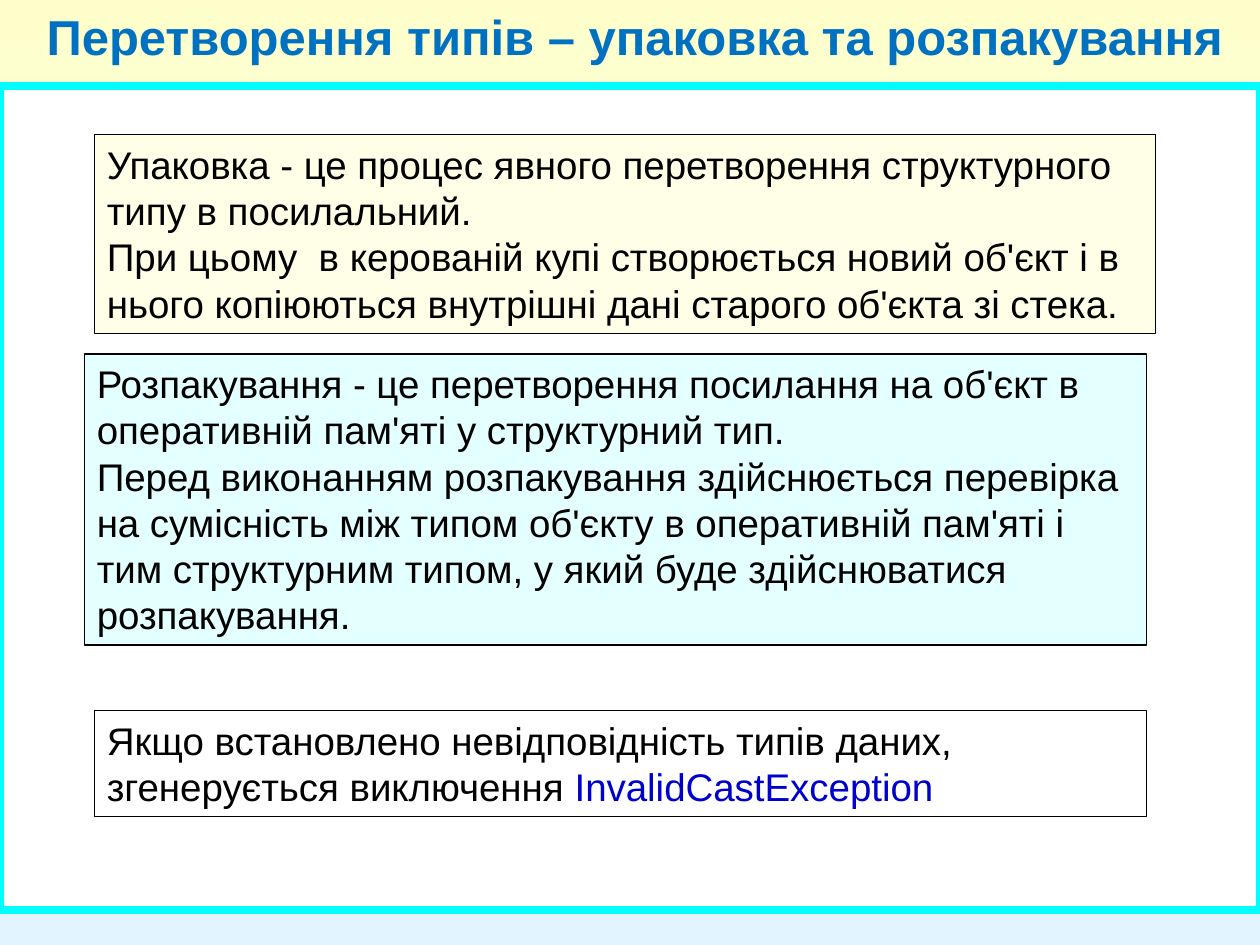
from lxml.etree import SubElement as Sub
from pptx import Presentation
from pptx.dml.color import RGBColor as RGB
from pptx.enum.shapes import MSO_SHAPE as Shape
from pptx.enum.text import MSO_ANCHOR as Anchor, MSO_AUTO_SIZE as Auto, PP_ALIGN as Align
from pptx.oxml.ns import qn
from pptx.util import Inches, Pt

WIDE, HIGH = 10, 7.5
FONT = "Arial"
BLACK = RGB(0, 0, 0)
WHITE = RGB(255, 255, 255)
CYAN = RGB(0, 255, 255)
BLUE = RGB(0, 0x70, 0xC0)
NAVY = RGB(0, 0, 0xCC)
CREAM = RGB(0xFF, 0xFF, 0xE7)
AQUA = RGB(0xE3, 0xFF, 0xFF)
TOP = RGB(0xFF, 0xFF, 0xCC)
BASE = RGB(0xE1, 0xF4, 0xFF)

BOXES = [
    ((0.75, 1.07, 8.42, 1.58), CREAM, [
        [("Упаковка - це процес явного перетворення структурного типу в посилальний.", BLACK)],
        [("При цьому  в керованій купі створюється новий об'єкт і в нього копіюються "
          "внутрішні дані старого об'єкта зі стека.", BLACK)],
    ]),
    ((0.67, 2.81, 8.43, 2.31), AQUA, [
        [("Розпакування - це перетворення посилання на об'єкт в оперативній пам'яті "
          "у структурний тип.", BLACK)],
        [("Перед виконанням розпакування здійснюється перевірка на сумісність між типом "
          "об'єкту в оперативній пам'яті і тим структурним типом, у який буде "
          "здійснюватися розпакування.", BLACK)],
    ]),
    ((0.75, 5.64, 8.35, 0.84), WHITE, [
        [("Якщо встановлено невідповідність типів даних, згенерується виключення ", BLACK),
         ("InvalidCastException", NAVY)],
    ]),
]


def add_run(para, text, size, color, bold=False):
    """Add one formatted run to a paragraph."""
    run = para.add_run()
    run.text = text
    font = run.font
    font.name, font.size, font.bold = FONT, Pt(size), bold
    font.color.rgb = color
    return run


def cast_shade(run):
    """Give the letters of a run a hard black shadow."""
    props = run.font._element
    list_ = props.makeelement(qn("a:effectLst"), {})
    props.find(qn("a:solidFill")).addnext(list_)
    shade = Sub(list_, qn("a:outerShdw"), dist="38100", dir="2700000", algn="tl")
    Sub(shade, qn("a:srgbClr"), val=str(BLACK))


def paint_back(slide):
    """Fill the background with a gradient from top to bottom."""
    fill = slide.background.fill
    fill.gradient()
    fill.gradient_angle = 270
    for stop, color in zip(fill.gradient_stops, (TOP, BASE)):
        stop.color.rgb = color


def add_rect(slide, spot, color, edge, width):
    """Draw a filled rectangle with an outline."""
    rect = slide.shapes.add_shape(Shape.RECTANGLE, *map(Inches, spot))
    rect.shadow.inherit = False
    rect.fill.solid()
    rect.fill.fore_color.rgb = color
    rect.line.color.rgb = edge
    rect.line.width = Pt(width)
    return rect


def add_box(slide, spot, color, paras):
    """Draw a framed box that holds paragraphs of runs."""
    frame = add_rect(slide, spot, color, BLACK, 0.75).text_frame
    frame.word_wrap = True
    frame.vertical_anchor = Anchor.TOP
    for num, runs in enumerate(paras):
        para = frame.add_paragraph() if num else frame.paragraphs[0]
        para.alignment = Align.LEFT
        for text, ink in runs:
            add_run(para, text, 22, ink)


def set_title(slide, text):
    """Place and format the slide title."""
    title = slide.shapes.title
    title.left, title.top, title.width, title.height = map(Inches, (0.27, 0, 9.73, 0.57))
    frame = title.text_frame
    frame.word_wrap = True
    frame.auto_size = Auto.NONE
    frame.vertical_anchor = Anchor.TOP
    para = frame.paragraphs[0]
    para.alignment = Align.LEFT
    cast_shade(add_run(para, text, 28, BLUE, True))


def main():
    """Build the slide and save it."""
    deck = Presentation()
    deck.slide_width, deck.slide_height = Inches(WIDE), Inches(HIGH)
    slide = deck.slides.add_slide(deck.slide_layouts[5])
    paint_back(slide)
    add_rect(slide, (0, 0.68, WIDE, 6.54), WHITE, CYAN, 4.5)
    set_title(slide, "Перетворення типів – упаковка та розпакування")
    for spot, color, paras in BOXES:
        add_box(slide, spot, color, paras)
    deck.save("out.pptx")


if __name__ == "__main__":
    main()
